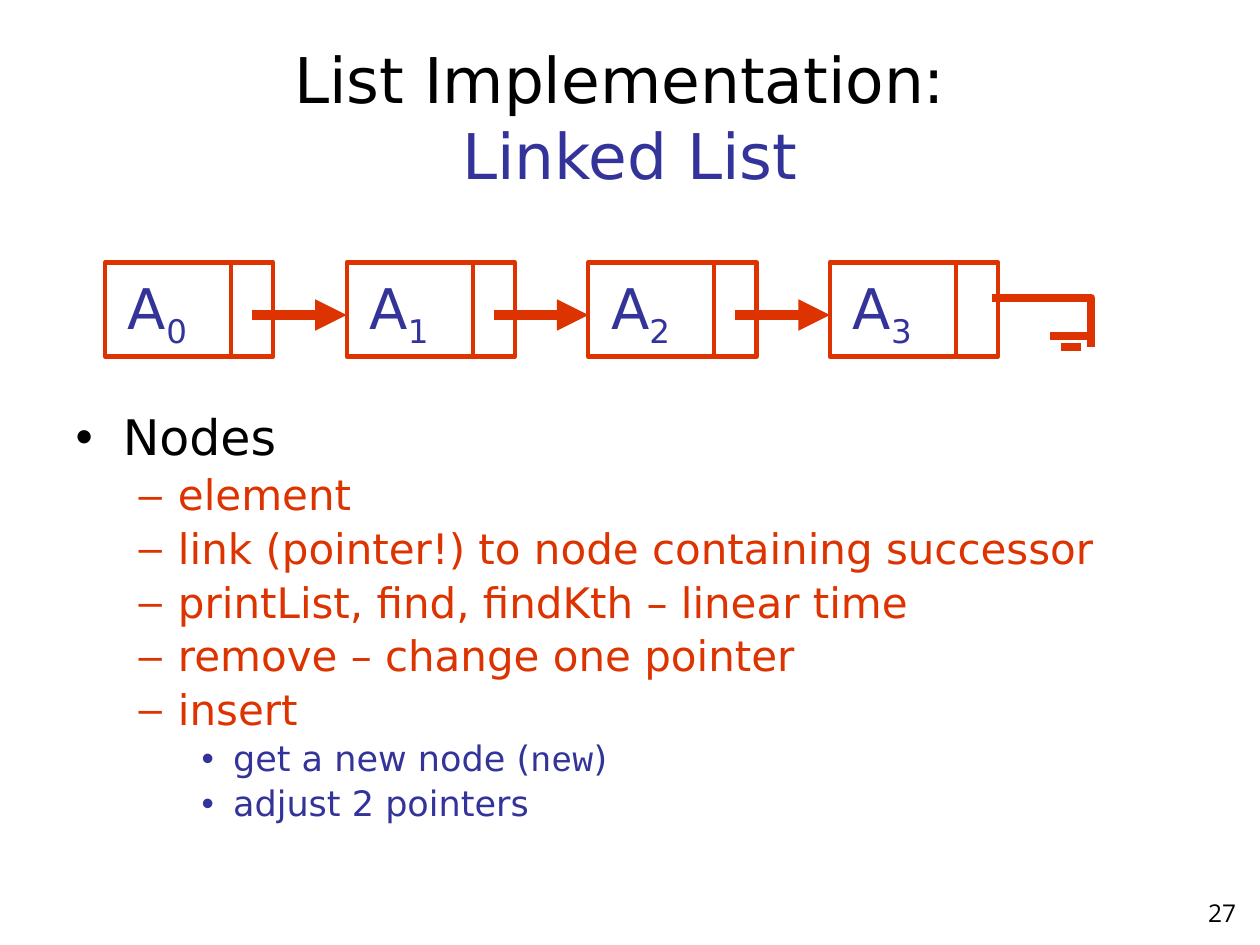
from lxml import etree
from pptx import Presentation
from pptx.dml.color import RGBColor
from pptx.enum.shapes import MSO_CONNECTOR, MSO_SHAPE
from pptx.enum.text import MSO_ANCHOR, MSO_AUTO_SIZE, PP_ALIGN
from pptx.oxml.ns import qn
from pptx.util import Cm, Pt

STRAIGHT = MSO_CONNECTOR.STRAIGHT
RECT = MSO_SHAPE.RECTANGLE
MIDDLE = MSO_ANCHOR.MIDDLE
NO_FIT = MSO_AUTO_SIZE.NONE
CENTER, LEFT, RIGHT = PP_ALIGN.CENTER, PP_ALIGN.LEFT, PP_ALIGN.RIGHT

BLACK = RGBColor(0x00, 0x00, 0x00)
BLUE = RGBColor(0x33, 0x33, 0x99)
RED = RGBColor(0xDD, 0x33, 0x00)
LEVELS = [(28, BLACK), (24, RED), (20, BLUE)]

NODE_LEFT, NODE_TOP, NODE_W, NODE_H = 2.12, 5.29, 3.39, 1.9
NODE_STEP = 4.87
DIVIDER = 2.54
ARROW_START, ARROW_Y = 2.96, 6.35
NODE_COUNT = 4

NULL_CURVES = [
    [(19.69, 6.14), (20.37, 6.1), (21.06, 6.05), (21.39, 6.15)],
    [(21.39, 6.15), (21.69, 6.25), (21.56, 6.65), (21.59, 6.77)],
]
OUTLINE = [
    (0, ["Nodes"]),
    (1, ["element"]),
    (1, ["link (pointer!) to node containing successor"]),
    (1, ["printList, find, findKth – linear time"]),
    (1, ["remove – change one pointer"]),
    (1, ["insert"]),
    (2, ["get a new node (", "new", ")"]),
    (2, ["adjust 2 pointers"]),
]


def bezier(curve, steps=12):
    """Return points along a cubic curve, without its start."""
    weights = [((1 - t) ** 3, 3 * t * (1 - t) ** 2, 3 * t * t * (1 - t), t ** 3)
               for t in (i / steps for i in range(1, steps + 1))]
    return [tuple(sum(w * pt[axis] for w, pt in zip(ws, curve)) for axis in (0, 1))
            for ws in weights]


class Canvas:
    """Holds the style and the current slide."""

    font = "DejaVu Sans"
    code_font = "Courier New"
    number_font = "Open Sans"
    line_color = RED

    def __init__(self, slide):
        """Start drawing on a slide."""
        self.s = slide

    def place(self, sp, left, top, width, height):
        """Move and size a shape, in centimetres."""
        sp.left, sp.top, sp.width, sp.height = map(Cm, (left, top, width, height))

    def style(self, r, size, color, font=None):
        """Format one run."""
        r.font.size = Pt(size)
        r.font.name = font or self.font
        r.font.color.rgb = color

    def stroke(self, sp, width):
        """Set the line of a shape or connector."""
        sp.line.color.rgb = self.line_color
        sp.line.width = Pt(width)

    def title(self, first, second, *box):
        """Fill the title with two lines of different colours."""
        sp = self.s.shapes.title
        self.place(sp, *box)
        tf = sp.text_frame
        tf.auto_size, tf.vertical_anchor = NO_FIT, MIDDLE
        p = tf.paragraphs[0]
        p.text = first + "\v" + second
        p.alignment = CENTER
        for r, color in zip(p.runs, (BLACK, BLUE)):
            self.style(r, 36, color)

    def outline(self, items, *box):
        """Fill the body with bullets; every second run is code."""
        sp = self.s.placeholders[1]
        self.place(sp, *box)
        tf = sp.text_frame
        tf.auto_size = NO_FIT
        for i, (level, parts) in enumerate(items):
            p = tf.add_paragraph() if i else tf.paragraphs[0]
            p.level, p.line_spacing = level, 0.9
            for j, part in enumerate(parts):
                r = p.add_run()
                r.text = part
                self.style(r, *LEVELS[level], self.code_font if j % 2 else self.font)

    def text(self, parts, size, color, *box, font=None, align=LEFT, wrap=False):
        """Add a text box; any part after the first is a subscript."""
        sp = self.s.shapes.add_textbox(*map(Cm, box))
        tf = sp.text_frame
        tf.word_wrap = wrap
        p = tf.paragraphs[0]
        p.alignment = align
        for i, part in enumerate(parts):
            r = p.add_run()
            r.text = part
            self.style(r, size, color, font)
            if i:
                r.font._element.set("baseline", "-25000")

    def rect(self, *box):
        """Add an unfilled rectangle."""
        sp = self.s.shapes.add_shape(RECT, *map(Cm, box))
        sp.shadow.inherit = False
        sp.fill.background()
        self.stroke(sp, 2.5)

    def line(self, x1, y1, x2, y2, width, arrow=False):
        """Add a straight line, with an arrowhead if asked."""
        sp = self.s.shapes.add_connector(STRAIGHT, *map(Cm, (x1, y1, x2, y2)))
        self.stroke(sp, width)
        if arrow:
            ln = sp.line._get_or_add_ln()
            etree.SubElement(ln, qn("a:tailEnd"), type="triangle")
        etree.SubElement(sp._element.spPr, qn("a:effectLst"))

    def curve(self, curves, width):
        """Add an open line along joined cubic curves."""
        points = [pt for c in curves for pt in bezier(c)]
        builder = self.s.shapes.build_freeform(*curves[0][0], scale=Cm(1))
        builder.add_line_segments(points, close=False)
        sp = builder.convert_to_shape()
        sp.shadow.inherit = False
        sp.fill.background()
        self.stroke(sp, width)

    def node(self, index, linked):
        """Add a list node, with an arrow to the next if linked."""
        left = NODE_LEFT + index * NODE_STEP
        x = left + DIVIDER
        self.rect(left, NODE_TOP, NODE_W, NODE_H)
        self.line(x, NODE_TOP, x, NODE_TOP + NODE_H, 2.5)
        self.text(["A", str(index)], 32, BLUE, left + 0.21, 5.38, 1.75, 1.6)
        if linked:
            self.line(left + ARROW_START, ARROW_Y, left + NODE_STEP, ARROW_Y, 6, arrow=True)


def main():
    """Build and save the slide."""
    prs = Presentation()
    prs.slide_width, prs.slide_height = Cm(25.4), Cm(19.05)
    c = Canvas(prs.slides.add_slide(prs.slide_layouts[1]))
    c.title("List Implementation: ", "Linked List", 1.27, 0.76, 22.86, 3.18)
    c.outline(OUTLINE, 1.27, 8.2, 22.86, 10.21)
    for i in range(NODE_COUNT):
        c.node(i, linked=i < NODE_COUNT - 1)
    c.curve(NULL_CURVES, 4.5)
    c.line(21.17, 6.77, 22.01, 6.77, 4.5)
    c.line(21.38, 6.99, 21.8, 6.99, 4.5)
    c.text(["27"], 14, BLACK, 19.89, 17.98, 5.28, 0.94,
           font=c.number_font, align=RIGHT, wrap=True)
    prs.save("out.pptx")


main()
